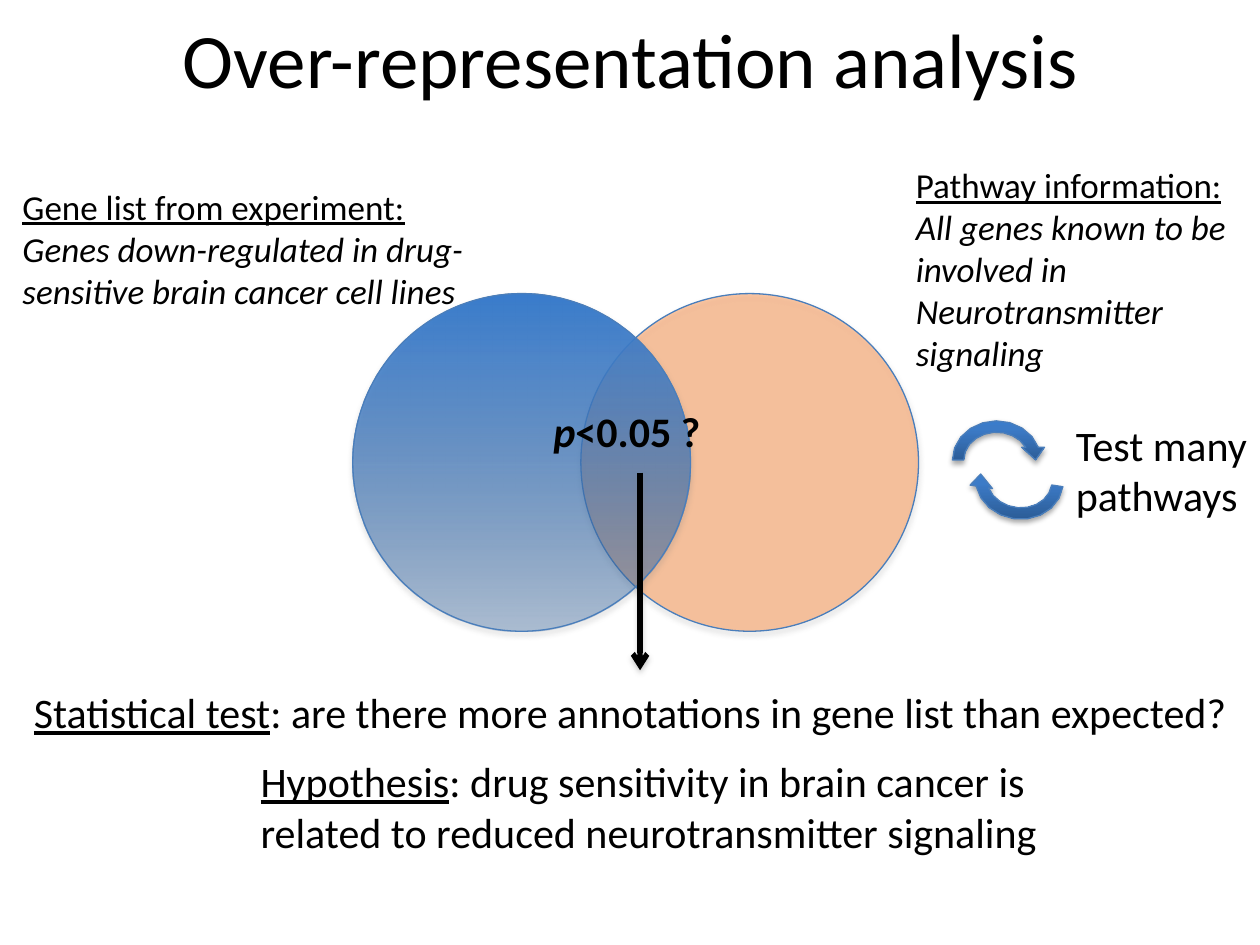
"""Build the over-representation analysis slide with its two-set Venn diagram."""
import math

from lxml import etree
from pptx import Presentation
from pptx import util as u
from pptx.dml.color import RGBColor
from pptx.enum import shapes, text
from pptx.oxml.ns import qn

FONT, BLACK, OUTLINE = "Calibri", "000000", "4A7EBB"
CIRCLE_SIZE, CIRCLE_TOP = 2.68, 2.33
PATHWAY_LEFT, GENE_LIST_LEFT = 4.61, 2.8
PATHWAY_FILL = [(0, "FF6600", 34), (100, "FF6600", 34)]
GENE_LIST_FILL = [(0, "3A7CCB", 100), (20, "3C7BC7", 87), (100, "2C5D98", 34)]
CYCLE_FILL = [(0, "3A7CCB", 100), (20, "3C7BC7", 100), (100, "2C5D98", 100)]
CYCLE_ARROWS = [((7.91, 3.65), 0), ((8.09, 3.81), 188.8)]
OUTER, INNER, HEAD_RISE = (0.35, 0.31), (0.26, 0.22), 0.1
TEST_ARROW = (5.08, 3.75, 5.08, 5.32)

TITLE = ((0.17, 0, 9.67, 0.91), 44, "c", True, [[("Over-representation analysis", "")]])
SET_LABELS = [
    ((0.08, 1.42, 3.72, 1.11), 20, "l", False, [
        [("Gene list from experiment:", "u")],
        [("Genes down-regulated in drug-", "i")],
        [("sensitive brain cancer cell lines", "i")]]),
    ((7.17, 1.25, 2.8, 1.78), 20, "l", True, [
        [("Pathway information:", "u")],
        [("All genes known to be involved in", "i")],
        [("Neurotransmitter signaling", "i")]]),
]
CONCLUSIONS = [
    ((0.17, 5.4, 9.82, 0.5), 24, "l", False, [
        [("Statistical test", "u"),
         (": are there more annotations in gene list than expected?", "")]]),
    ((1.97, 5.95, 6.46, 0.91), 24, "l", False, [
        [("Hypothesis", "u"), (": drug sensitivity in brain cancer is", "")],
        [("related to reduced neurotransmitter signaling", "")]]),
]
CYCLE_LABEL = ((8.44, 3.28, 1.62, 0.91), 24, "l", False, [
    [("Test many", "")], [("pathways", "")]])
P_VALUE = ((4.28, 3.17, 1.39, 0.51), 24, "c", False, [
    [("p", "bi"), ("<0.05 ?", "b")]])


def rgb(value):
    return RGBColor.from_string(value)


def add_color(parent, value, alpha):
    color = etree.SubElement(parent, qn("a:srgbClr"), val=value)
    if alpha < 100:
        etree.SubElement(color, qn("a:alpha"), val=str(alpha * 1000))


def add_shadow(properties, value, alpha, distance):
    effects = properties.find(qn("a:effectLst"))
    if effects is None:
        effects = etree.SubElement(properties, qn("a:effectLst"))
    shadow = etree.SubElement(
        effects, qn("a:outerShdw"), blurRad=str(u.Pt(3.1)),
        dist=str(u.Pt(distance)), dir="5400000", rotWithShape="0")
    add_color(shadow, value, alpha)


def style(shape, stops, shadow_color):
    shape.fill.gradient()
    shape.fill.gradient_angle = 270
    properties = shape._element.spPr
    stop_list = properties.find(".//" + qn("a:gsLst"))
    for old in list(stop_list):
        stop_list.remove(old)
    for position, value, alpha in stops:
        stop = etree.SubElement(stop_list, qn("a:gs"), pos=str(position * 1000))
        add_color(stop, value, alpha)
    shape.line.color.rgb = rgb(OUTLINE)
    shape.line.width = u.Pt(0.75)
    shape.shadow.inherit = False
    add_shadow(properties, shadow_color, 35, 1.8)


def add_text(slide, box, size, align, wrap, paragraphs):
    frame = slide.shapes.add_textbox(*map(u.Inches, box)).text_frame
    frame.word_wrap = wrap
    if size == 44:
        frame.vertical_anchor = text.MSO_ANCHOR.MIDDLE
    else:
        frame.auto_size = text.MSO_AUTO_SIZE.SHAPE_TO_FIT_TEXT
    for index, runs in enumerate(paragraphs):
        paragraph = frame.add_paragraph() if index else frame.paragraphs[0]
        paragraph.alignment = text.PP_ALIGN.CENTER if align == "c" else text.PP_ALIGN.LEFT
        for words, marks in runs:
            run = paragraph.add_run()
            run.text = words
            font = run.font
            font.name, font.size = FONT, u.Pt(size)
            font.color.rgb = rgb(BLACK)
            font.bold, font.italic, font.underline = (mark in marks for mark in "biu")


def add_circle(slide, left, stops):
    circle = slide.shapes.add_shape(
        shapes.MSO_SHAPE.OVAL, *map(u.Inches, (left, CIRCLE_TOP, CIRCLE_SIZE, CIRCLE_SIZE)))
    style(circle, stops, "808080")


def arc(radii, steps=9):
    end = math.asin(HEAD_RISE / radii[1])
    angles = [math.pi + (end - math.pi) * step / steps for step in range(steps + 1)]
    return [(radii[0] * math.cos(a), -radii[1] * math.sin(a)) for a in angles]


def add_cycle_arrow(slide, center, degrees):
    head = [(0.38, -HEAD_RISE), (0.31, 0), (0.2, -HEAD_RISE)]
    turn = math.radians(degrees)
    points = [(u.Inches(center[0] + x * math.cos(turn) - y * math.sin(turn)),
               u.Inches(center[1] + x * math.sin(turn) + y * math.cos(turn)))
              for x, y in arc(OUTER) + head + arc(INNER)[::-1]]
    builder = slide.shapes.build_freeform(*points[0])
    builder.add_line_segments(points[1:], close=True)
    style(builder.convert_to_shape(), CYCLE_FILL, BLACK)


def add_test_arrow(slide):
    arrow = slide.shapes.add_connector(
        shapes.MSO_CONNECTOR.STRAIGHT, *map(u.Inches, TEST_ARROW))
    arrow.line.color.rgb = rgb(BLACK)
    arrow.line.width = u.Pt(3)
    etree.SubElement(arrow.line._get_or_add_ln(), qn("a:tailEnd"), type="arrow")
    add_shadow(arrow._element.spPr, "808080", 38, 1.6)


def main():
    deck = Presentation()
    deck.slide_width, deck.slide_height = u.Inches(10), u.Inches(7.5)
    slide = deck.slides.add_slide(deck.slide_layouts[6])
    add_text(slide, *TITLE)
    add_circle(slide, PATHWAY_LEFT, PATHWAY_FILL)
    add_circle(slide, GENE_LIST_LEFT, GENE_LIST_FILL)
    for label in SET_LABELS:
        add_text(slide, *label)
    add_test_arrow(slide)
    for conclusion in CONCLUSIONS:
        add_text(slide, *conclusion)
    for center, degrees in CYCLE_ARROWS:
        add_cycle_arrow(slide, center, degrees)
    add_text(slide, *CYCLE_LABEL)
    add_text(slide, *P_VALUE)
    deck.save("out.pptx")


if __name__ == "__main__":
    main()
